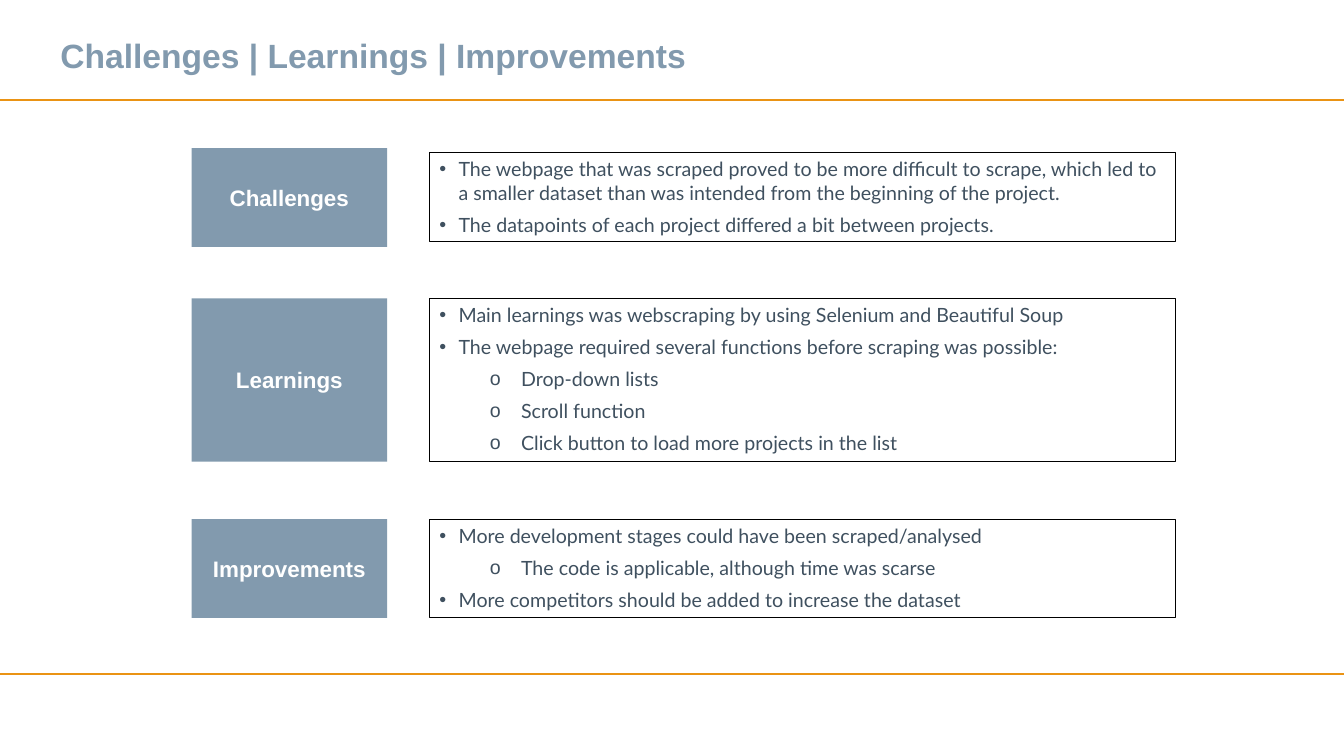
from lxml.etree import SubElement
from pptx import Presentation
from pptx.dml.color import RGBColor
from pptx.enum.shapes import MSO_CONNECTOR, MSO_SHAPE
from pptx.enum.text import MSO_ANCHOR, PP_ALIGN
from pptx.oxml.ns import qn
from pptx.util import Inches, Pt

COLORS = {
    "slate": "829AAE",
    "orange": "EA9314",
    "white": "FFFFFF",
    "black": "000000",
    "body": "3F505F",
}
TITLE_FONT = {"name": "Arial", "size": Pt(24), "bold": True}
LABEL_FONT = {"name": "Arial", "size": Pt(16), "bold": True}
BODY_FONT = {"name": "Lato", "size": Pt(14), "bold": False}
BULLETS = {1: ("•", 0.19, 0.19), 2: ("o", 0.81, 0.31)}

SLIDE_WIDTH = 13.33
RULE_TOPS = (0.99, 6.69)
LABEL_LEFT, LABEL_WIDTH = 1.9, 1.94
DETAIL_LEFT, DETAIL_WIDTH = 4.26, 7.4

SECTIONS = [
    ("Challenges", (1.47, 0.98), (1.51, 0.89), [
        (1, "The webpage that was scraped proved to be more difficult to scrape, "
            "which led to a smaller dataset than was intended from the beginning of the project."),
        (1, "The datapoints of each project differed a bit between projects."),
    ]),
    ("Learnings", (2.96, 1.62), (2.96, 1.62), [
        (1, "Main learnings was webscraping by using Selenium and Beautiful Soup"),
        (1, "The webpage required several functions before scraping was possible:"),
        (2, "Drop-down lists"),
        (2, "Scroll function"),
        (2, "Click button to load more projects in the list"),
    ]),
    ("Improvements", (5.15, 0.98), (5.15, 0.98), [
        (1, "More development stages could have been scraped/analysed"),
        (2, "The code is applicable, although time was scarse"),
        (1, "More competitors should be added to increase the dataset"),
    ]),
]


def rgb(color):
    return RGBColor.from_string(COLORS[color])


def write(paragraph, text, font, color):
    paragraph.text = text
    for key, value in font.items():
        setattr(paragraph.font, key, value)
    paragraph.font.color.rgb = rgb(color)


def add_rule(slide, top):
    rule = slide.shapes.add_connector(
        MSO_CONNECTOR.STRAIGHT, Inches(0), Inches(top), Inches(SLIDE_WIDTH), Inches(top))
    rule.line.color.rgb = rgb("orange")
    rule.line.width = Pt(1.5)
    SubElement(rule._element.spPr, qn("a:effectLst"))


def add_title(slide, text):
    title = slide.shapes.add_textbox(Inches(0.5), Inches(0.3), Inches(12.83), Inches(0.5))
    title.text_frame.word_wrap = True
    title.text_frame.vertical_anchor = MSO_ANCHOR.MIDDLE
    write(title.text_frame.paragraphs[0], text, TITLE_FONT, "slate")


def add_box(slide, left, top, width, height):
    box = slide.shapes.add_shape(
        MSO_SHAPE.RECTANGLE, Inches(left), Inches(top), Inches(width), Inches(height))
    box.shadow.inherit = False
    return box


def add_label(slide, text, top, height):
    label = add_box(slide, LABEL_LEFT, top, LABEL_WIDTH, height)
    label.fill.solid()
    label.fill.fore_color.rgb = rgb("slate")
    label.line.fill.background()
    label.text_frame.word_wrap = False
    label.text_frame.vertical_anchor = MSO_ANCHOR.MIDDLE
    heading = label.text_frame.paragraphs[0]
    heading.alignment = PP_ALIGN.CENTER
    write(heading, text, LABEL_FONT, "white")


def add_bullet(paragraph, level):
    symbol, margin, hanging = BULLETS[level]
    paragraph.level = level
    properties = paragraph._p.get_or_add_pPr()
    properties.set("marL", str(Inches(margin)))
    properties.set("indent", str(-Inches(hanging)))
    SubElement(properties, qn("a:buFont"), typeface="Arial")
    SubElement(properties, qn("a:buChar"), char=symbol)


def add_details(slide, points, top, height):
    details = add_box(slide, DETAIL_LEFT, top, DETAIL_WIDTH, height)
    details.fill.background()
    details.line.color.rgb = rgb("black")
    details.line.width = Pt(0.75)
    frame = details.text_frame
    frame.word_wrap = True
    frame.vertical_anchor = MSO_ANCHOR.TOP
    for index, (level, text) in enumerate(points):
        point = frame.add_paragraph() if index else frame.paragraphs[0]
        point.alignment = PP_ALIGN.LEFT
        point.space_before = Pt(6 if index else 0)
        add_bullet(point, level)
        write(point, text, BODY_FONT, "body")


def main():
    presentation = Presentation()
    presentation.slide_width = Inches(SLIDE_WIDTH)
    presentation.slide_height = Inches(7.5)
    slide = presentation.slides.add_slide(presentation.slide_layouts[6])
    for top in RULE_TOPS:
        add_rule(slide, top)
    add_title(slide, "Challenges | Learnings | Improvements")
    for heading, label_span, detail_span, points in SECTIONS:
        add_label(slide, heading, *label_span)
        add_details(slide, points, *detail_span)
    presentation.save("out.pptx")


if __name__ == "__main__":
    main()
